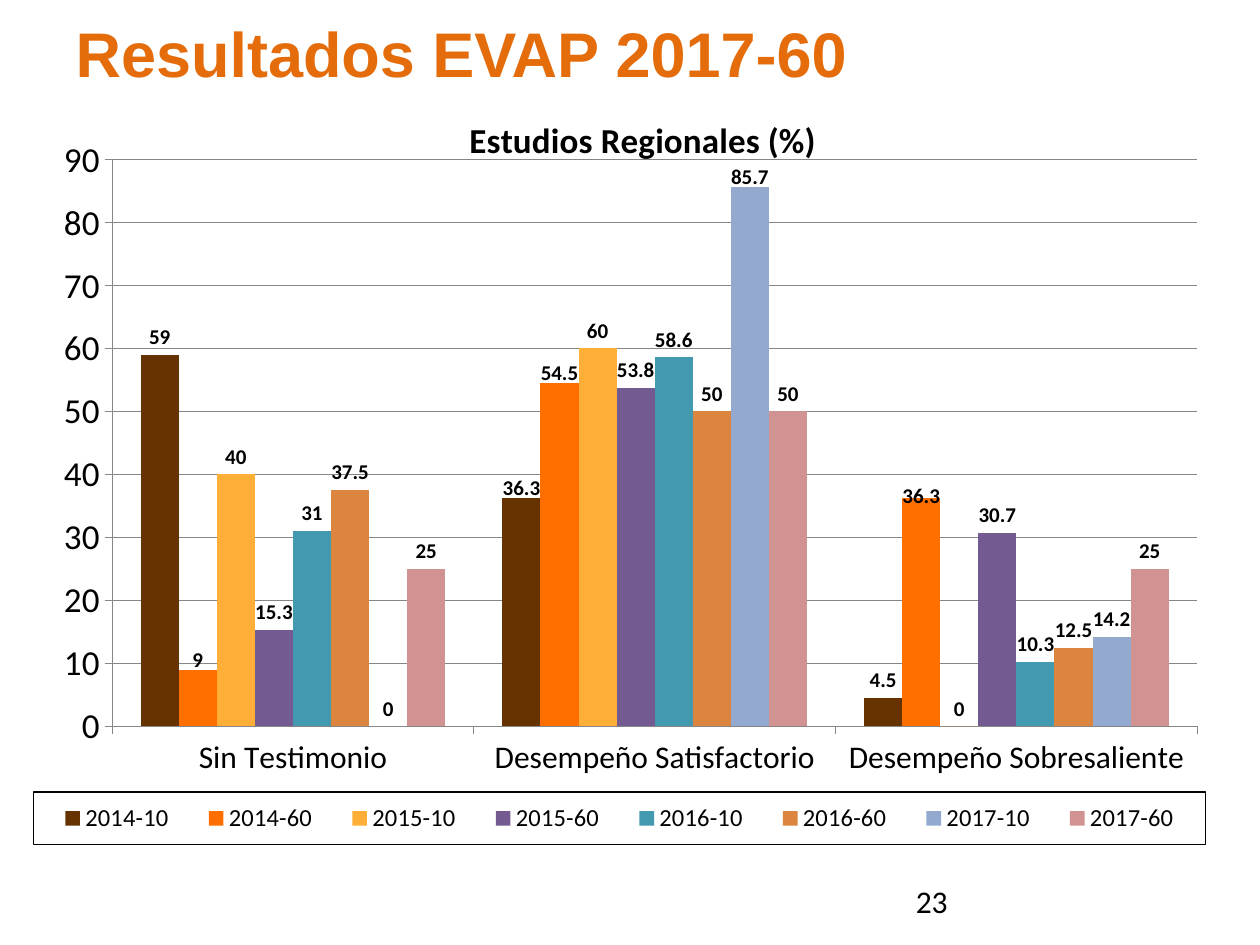
from lxml.etree import SubElement
from pptx import Presentation
from pptx.chart.data import CategoryChartData
from pptx.dml.color import RGBColor
from pptx.enum.chart import XL_CHART_TYPE as ChartType, XL_LABEL_POSITION as LabelPos
from pptx.enum.chart import XL_LEGEND_POSITION as LegendPos, XL_TICK_MARK as TickMark
from pptx.enum.text import MSO_ANCHOR, PP_ALIGN
from pptx.oxml.ns import qn
from pptx.util import Inches, Pt

COLORS = {
    "title": "E46C0A", "text": "000000", "axis": "868686",
    "2014-10": "663300", "2014-60": "FF6F00", "2015-10": "FFAE37", "2015-60": "735A90",
    "2016-10": "4299B0", "2016-60": "DC853E", "2017-10": "93A9D0", "2017-60": "D19392",
}
RESULTS = {
    "2014-10": (59, 36.3, 4.5),
    "2014-60": (9, 54.5, 36.3),
    "2015-10": (40, 60, 0),
    "2015-60": (15.3, 53.8, 30.7),
    "2016-10": (31, 58.6, 10.3),
    "2016-60": (37.5, 50, 12.5),
    "2017-10": (0, 85.7, 14.2),
    "2017-60": (25, 50, 25),
}
LABEL_SHIFTS = {
    "2014-10": {1: 0.01},
    "2014-60": {0: 0.01, 1: 0.01, 2: 0.02},
    "2017-10": {1: 0.01},
}


def style(font, size, color="text", name="Calibri", bold=False):
    font.size, font.name, font.bold = Pt(size), name, bold
    font.color.rgb = RGBColor.from_string(COLORS[color])


def place(parent, index, **settings):
    for old in parent.findall(qn("c:layout")):
        parent.remove(old)
    layout = SubElement(parent, qn("c:layout"))
    manual = SubElement(layout, qn("c:manualLayout"))
    for tag, value in settings.items():
        SubElement(manual, qn(f"c:{tag}")).set("val", str(value))
    parent.insert(index, layout)


prs = Presentation()
prs.slide_width, prs.slide_height = Inches(10), Inches(7.5)
slide = prs.slides.add_slide(prs.slide_layouts[5])

title = slide.shapes.title
title.left, title.top, title.width, title.height = Inches(0.5), Inches(0), Inches(9), Inches(0.83)
title.text_frame.text = "Resultados EVAP 2017-60"
title.text_frame.vertical_anchor = MSO_ANCHOR.MIDDLE
heading = title.text_frame.paragraphs[0]
heading.alignment = PP_ALIGN.LEFT
style(heading.runs[0].font, 36, "title", "Arial", True)

page_number = slide.shapes.add_textbox(Inches(7.17), Inches(6.95), Inches(2.33), Inches(0.4))
page_number.text_frame.word_wrap = True
page_number.text_frame.text = "23"
style(page_number.text_frame.paragraphs[0].runs[0].font, 18)

results = CategoryChartData()
results.categories = ["Sin Testimonio", "Desempeño Satisfactorio", "Desempeño Sobresaliente"]
for period, values in RESULTS.items():
    results.add_series(period, values)
chart = slide.shapes.add_chart(
    ChartType.COLUMN_CLUSTERED, Inches(0.26), Inches(0.68), Inches(9.48), Inches(6.18), results
).chart
style(chart.font, 10)

chart.has_title = True
chart.chart_title.text_frame.text = "Estudios Regionales (%)"
style(chart.chart_title.text_frame.paragraphs[0].runs[0].font, 20, bold=True)
chart.chart_title.include_in_layout = False
place(chart.chart_title._element, 1, xMode="edge", yMode="edge", x=0.36, y=0.03)

plot = chart.plots[0]
plot.gap_width, plot.overlap, plot.vary_by_categories = 150, 0, False
place(chart._chartSpace.chart.plotArea, 0, layoutTarget="inner", xMode="edge", yMode="edge",
      x=0.066, y=0.095, w=0.909, h=0.728)

for series in plot.series:
    series.format.fill.solid()
    series.format.fill.fore_color.rgb = RGBColor.from_string(COLORS[series.name])
    series.invert_if_negative = False
    labels = series.data_labels
    labels.show_value = True
    labels.position = LabelPos.OUTSIDE_END
    style(labels.font, 12, bold=True)
    for point, shift in LABEL_SHIFTS.get(series.name, {}).items():
        label = series.points[point].data_label
        label.position = LabelPos.OUTSIDE_END
        style(label.font, 12, bold=True)
        for element in labels._element.findall(qn("c:dLbl")):
            if element.find(qn("c:idx")).get("val") == str(point):
                place(element, 1, x=0, y=shift)

for axis, size in ((chart.category_axis, 18), (chart.value_axis, 20)):
    style(axis.tick_labels.font, size)
    axis.major_tick_mark, axis.minor_tick_mark = TickMark.OUTSIDE, TickMark.NONE
    axis.format.line.color.rgb = RGBColor.from_string(COLORS["axis"])
scale = chart.value_axis
scale.minimum_scale, scale.maximum_scale, scale.major_unit = 0, 90, 10
scale.has_major_gridlines = True
scale.major_gridlines.format.line.color.rgb = RGBColor.from_string(COLORS["axis"])

chart.has_legend = True
legend = chart.legend
legend.position = LegendPos.BOTTOM
legend.include_in_layout = False
style(legend.font, 14)
place(legend._element, 1, xMode="edge", yMode="edge", x=0, y=0.907, w=0.982, h=0.068)
border = SubElement(legend._element, qn("c:spPr"))
legend._element.find(qn("c:txPr")).addprevious(border)
outline = SubElement(border, qn("a:ln"), w=str(Pt(0.75)))
SubElement(SubElement(outline, qn("a:solidFill")), qn("a:srgbClr"), val=COLORS["text"])

prs.save("out.pptx")
